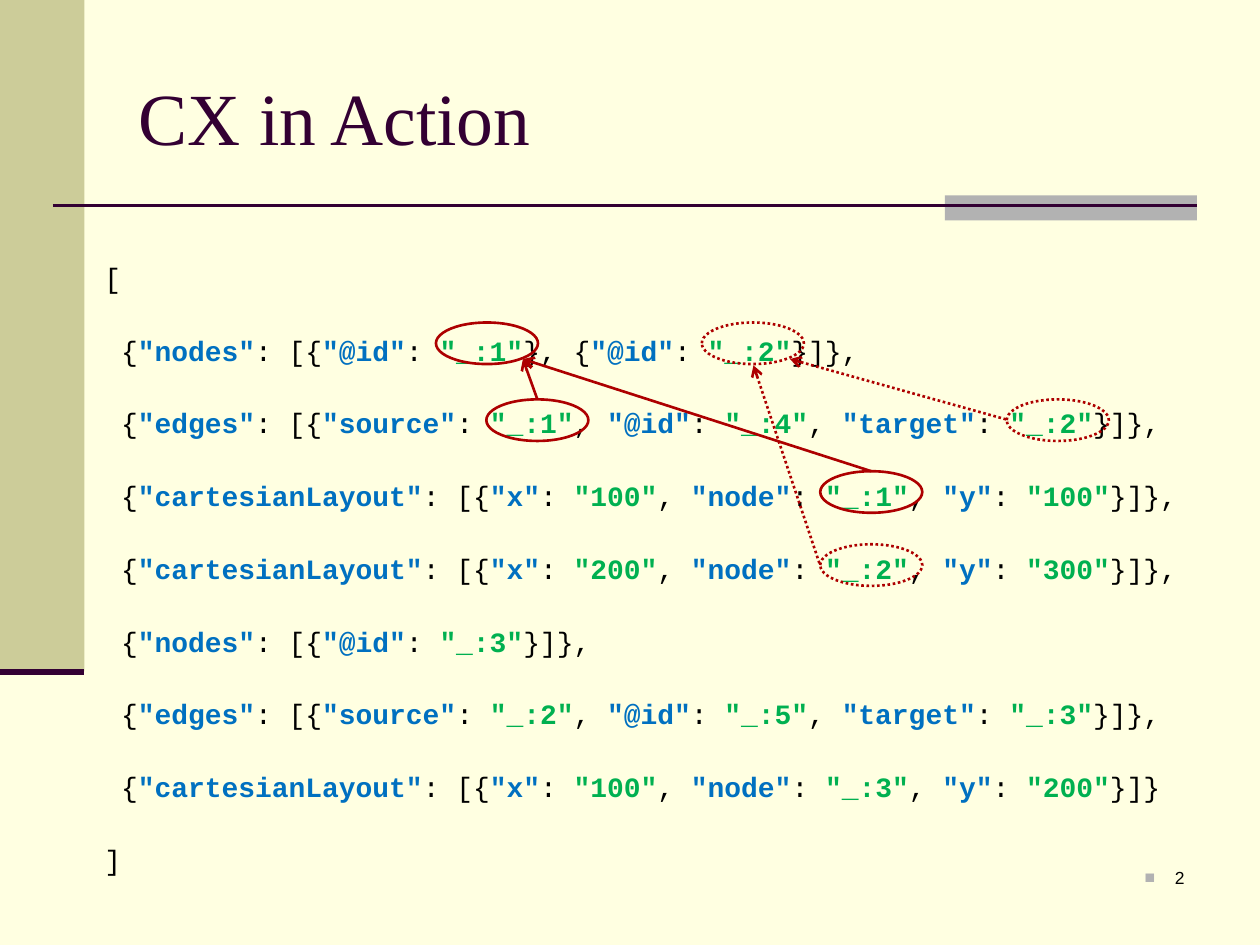
from lxml import etree
from pptx import Presentation
from pptx import util as u
from pptx.dml.color import RGBColor
from pptx.enum import dml, shapes, text
from pptx.oxml.ns import qn

CODE = """[
 {"nodes": [{"@id": "_:1"}, {"@id": "_:2"}]},
 {"edges": [{"source": "_:1", "@id": "_:4", "target": "_:2"}]},
 {"cartesianLayout": [{"x": "100", "node": "_:1", "y": "100"}]},
 {"cartesianLayout": [{"x": "200", "node": "_:2", "y": "300"}]},
 {"nodes": [{"@id": "_:3"}]},
 {"edges": [{"source": "_:2", "@id": "_:5", "target": "_:3"}]},
 {"cartesianLayout": [{"x": "100", "node": "_:3", "y": "200"}]}
]"""


def color(value):
    """Turn a hex string into a colour."""
    return RGBColor.from_string(value)


def add_text(paragraph, words, font="Courier New", size=16, fill="000000", bold=False):
    """Append one formatted run to a paragraph."""
    run = paragraph.add_run()
    run.text = words
    run.font.name, run.font.size, run.font.bold = font, u.Pt(size), bold
    run.font.color.rgb = color(fill)


def add_json_line(paragraph, line):
    """Write a line of JSON with its keys and values highlighted."""
    parts = line.split('"')
    for index, part in enumerate(parts):
        if index % 2:
            is_key = parts[index + 1].startswith(":")
            add_text(paragraph, f'"{part}"', fill="0070C0" if is_key else "00B050", bold=True)
        elif part:
            add_text(paragraph, part)


def add_bullet(paragraph, fill, hang):
    """Give a paragraph a small square bullet."""
    properties = paragraph._p.get_or_add_pPr()
    properties.set("marL", str(u.Inches(hang)))
    properties.set("indent", str(-u.Inches(hang)))
    bullet_color = etree.SubElement(properties, qn("a:buClr"))
    etree.SubElement(bullet_color, qn("a:srgbClr"), val=fill)
    etree.SubElement(properties, qn("a:buSzPct"), val="100000")
    etree.SubElement(properties, qn("a:buFont"), typeface="Arial")
    etree.SubElement(properties, qn("a:buChar"), char="■")


class Deck:
    """Style and current slide, on a grid of 10 columns by 7.5 rows."""

    ink, accent = "330033", "AD0000"

    def __init__(self):
        """Start a presentation with one title-only slide."""
        self.presentation = Presentation()
        self.presentation.slide_width = u.Inches(10)
        self.presentation.slide_height = u.Inches(7.5)
        self.column = self.presentation.slide_width / 10
        self.row = self.presentation.slide_height / 7.5
        self.slide = self.presentation.slides.add_slide(self.presentation.slide_layouts[5])
        background = self.slide.background.fill
        background.solid()
        background.fore_color.rgb = color("FFFFE1")

    def place(self, *box):
        """Convert grid positions to lengths."""
        return [round(value * (self.row if index % 2 else self.column))
                for index, value in enumerate(box)]

    def stroke(self, line, fill, width, dotted):
        """Format an outline or a connector."""
        line.color.rgb, line.width = color(fill), u.Pt(width)
        if dotted:
            line.dash_style = dml.MSO_LINE.ROUND_DOT

    def title(self, words, *box):
        """Fill and place the title placeholder."""
        title = self.slide.shapes.title
        title.left, title.top, title.width, title.height = self.place(*box)
        title.text_frame.vertical_anchor = text.MSO_ANCHOR.MIDDLE
        paragraph = title.text_frame.paragraphs[0]
        paragraph.alignment = text.PP_ALIGN.LEFT
        add_text(paragraph, words, font="Times New Roman", size=42, fill=self.ink)

    def text_box(self, *box):
        """Add a wrapping text box and return its frame."""
        frame = self.slide.shapes.add_textbox(*self.place(*box)).text_frame
        frame.word_wrap = True
        return frame

    def code(self, source, *box):
        """Add widely spaced lines of JSON."""
        frame = self.text_box(*box)
        for index, line in enumerate(source.splitlines()):
            paragraph = frame.add_paragraph() if index else frame.paragraphs[0]
            paragraph.line_spacing, paragraph.space_before = 2.0, u.Pt(3.2)
            add_json_line(paragraph, line)

    def page_number(self, words, *box):
        """Add the bulleted page number."""
        paragraph = self.text_box(*box).paragraphs[0]
        paragraph.alignment = text.PP_ALIGN.RIGHT
        add_bullet(paragraph, "B2B2B2", 0.24)
        add_text(paragraph, words, font="Arial", size=10)

    def bar(self, fill, *box):
        """Add a filled rectangle without outline."""
        shape = self.slide.shapes.add_shape(shapes.MSO_SHAPE.RECTANGLE, *self.place(*box))
        shape.shadow.inherit = False
        shape.fill.solid()
        shape.fill.fore_color.rgb = color(fill)
        shape.line.fill.background()

    def ring(self, left, top, dotted=False):
        """Circle one identifier."""
        shape = self.slide.shapes.add_shape(
            shapes.MSO_SHAPE.OVAL, *self.place(left, top, 0.81, 0.33))
        shape.shadow.inherit = False
        shape.fill.background()
        self.stroke(shape.line, self.accent, 1.5, dotted)
        return shape

    def line(self, *ends, fill=ink, width=1.5, dotted=False):
        """Add a straight line."""
        connector = self.slide.shapes.add_connector(
            shapes.MSO_CONNECTOR.STRAIGHT, *self.place(*ends))
        self.stroke(connector.line, fill, width, dotted)
        etree.SubElement(connector._element.spPr, qn("a:effectLst"))
        return connector

    def reference(self, *ends, dotted=False, source=None):
        """Add an arrow pointing at its first end, joined to the top of a source ring."""
        connector = self.line(*ends, fill=self.accent, dotted=dotted)
        etree.SubElement(connector.line._get_or_add_ln(), qn("a:headEnd"), type="arrow")
        if source is not None:
            connector.end_connect(source, 0)


def main():
    """Build the slide and save it."""
    deck = Deck()
    deck.bar("CCCC99", 0, 0, 0.67, 5.33)
    deck.bar("B2B2B2", 7.5, 1.55, 2, 0.2)
    deck.line(0.42, 1.63, 9.5, 1.63)
    deck.line(0, 5.33, 0.67, 5.33, width=3.5)
    deck.title("CX in Action", 1, 0.3, 8.5, 1.25)
    deck.code(CODE, 0.73, 1.75, 9.27, 4.95)
    deck.page_number("2", 7.42, 6.83, 2.08, 0.5)

    deck.ring(3.46, 2.56)
    edge_source = deck.ring(3.86, 3.17)
    layout_node = deck.ring(6.51, 3.74)
    for left, top in ((5.57, 2.56), (7.99, 3.17), (6.51, 4.32)):
        deck.ring(left, top, dotted=True)

    deck.reference(4.15, 2.85, 4.27, 3.17, source=edge_source)
    deck.reference(4.15, 2.85, 6.92, 3.74, source=layout_node)
    deck.reference(6.27, 2.85, 7.99, 3.33, dotted=True)
    deck.reference(5.98, 2.9, 6.51, 4.49, dotted=True)
    deck.presentation.save("out.pptx")


if __name__ == "__main__":
    main()
